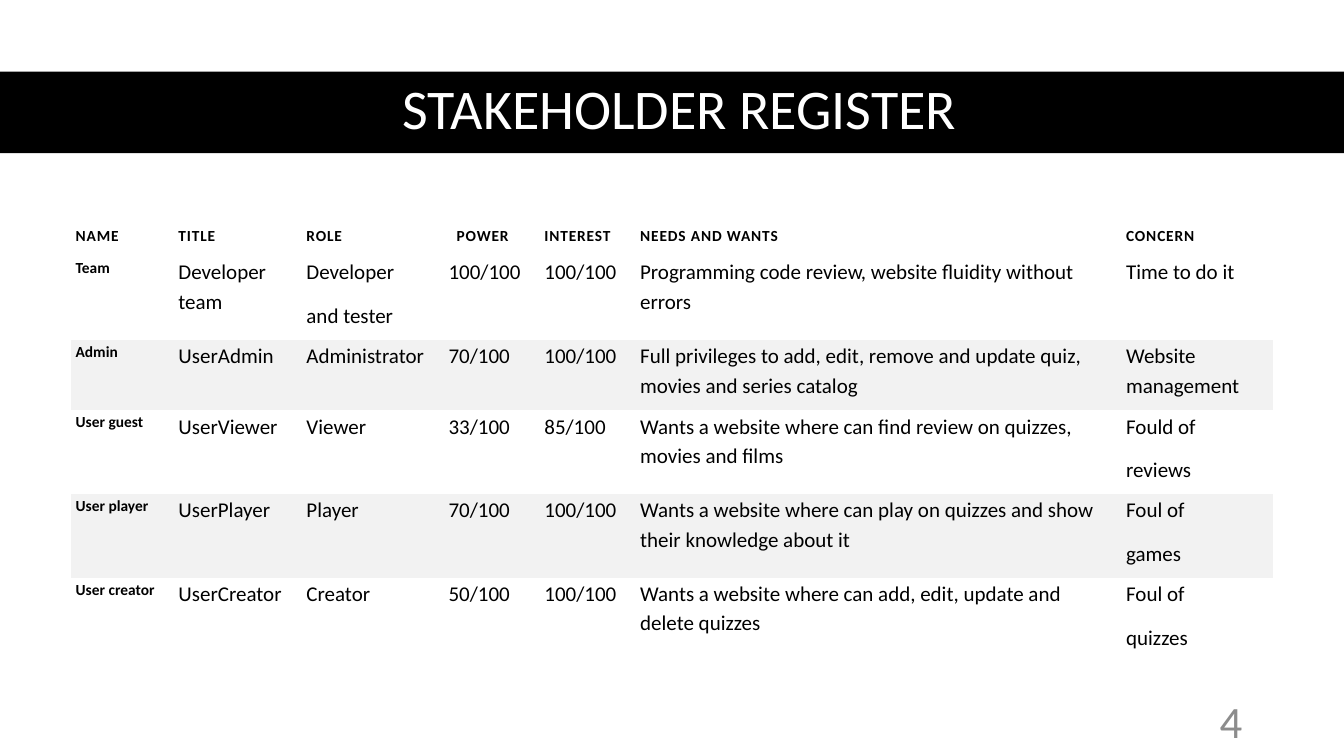
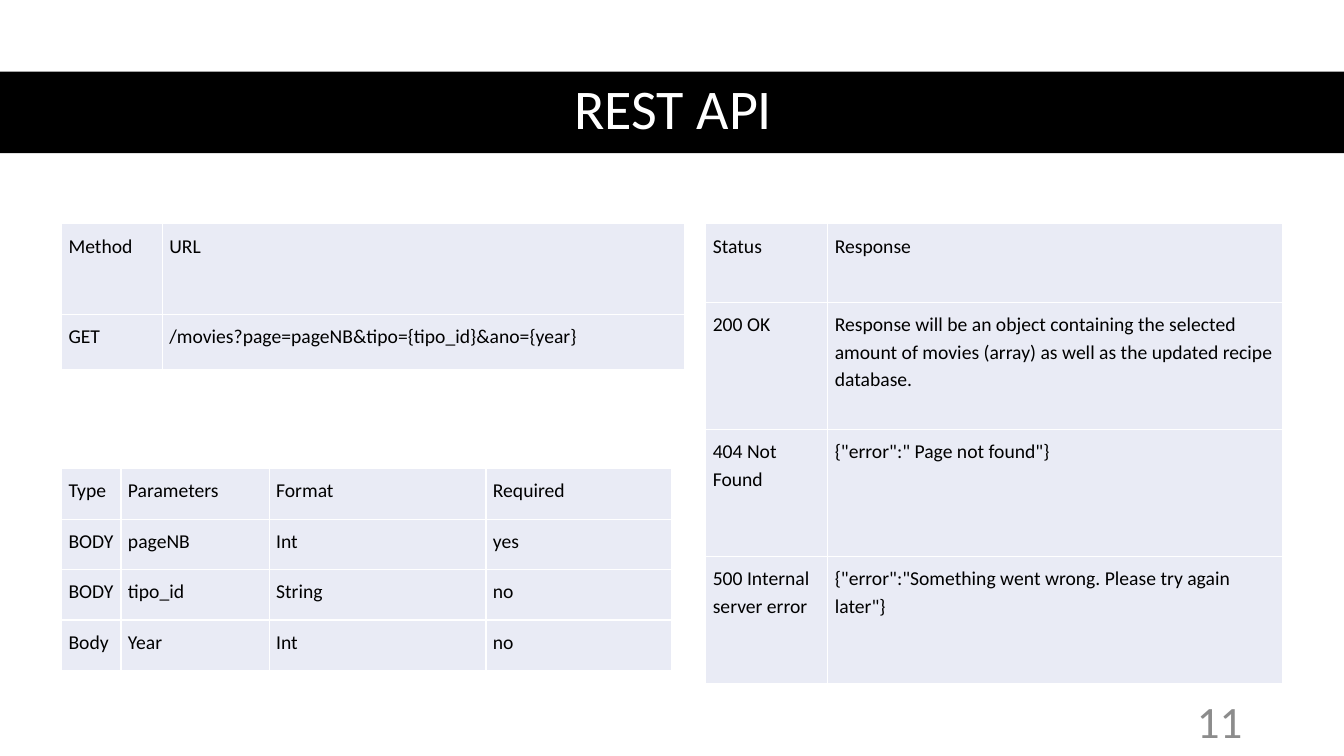
from lxml import etree
from pptx import Presentation
from pptx import util as u
from pptx.dml.color import RGBColor
from pptx.enum import shapes, text
from pptx.oxml.ns import qn

W, H = 13.33, 7.5
FONT = "Calibri"
BLACK, WHITE, GREY = "000000", "FFFFFF", "8C8C8C"
STRIPE, PALE = "F2F2F2", "E9EBF5"
NO_STYLE = "{2D5ABB26-0587-4C30-8999-92F81FD0307C}"
LEFT, RIGHT, TOP = 0.61, 7, 2.22

TITLE = dict(size=40, color=WHITE)
NUMBER = dict(size=32, color=GREY)
HEAD = dict(size=11, bold=True, spacing=60)
NAME = dict(size=11, bold=True)
BODY = dict(size=15)
API = dict(size=14)

STAKEHOLDERS = [
    ["NAME", "TITLE", "ROLE", "POWER", "INTEREST", "NEEDS AND WANTS", "CONCERN"],
    ["Team", "Developer team", "Developer\nand tester", "100/100", "100/100",
     "Programming code review, website fluidity without errors", "Time to do it"],
    ["Admin", "UserAdmin", "Administrator", "70/100", "100/100",
     "Full privileges to add, edit, remove and update quiz, movies and series catalog",
     "Website management"],
    ["User guest", "UserViewer", "Viewer", "33/100", "85/100",
     "Wants a website where can find review on quizzes, movies and films",
     "Fould of\nreviews"],
    ["User player", "UserPlayer", "Player", "70/100", "100/100",
     "Wants a website where can play on quizzes and show their knowledge about it",
     "Foul of\ngames"],
    ["User creator", "UserCreator", "Creator", "50/100", "100/100",
     "Wants a website where can add, edit, update and delete quizzes",
     "Foul of\nquizzes"],
]
METHODS = [["Method", "URL"],
           ["GET", "/movies?page=pageNB&tipo={tipo_id}&ano={year}"]]
PARAMETERS = [["Type", "Parameters", "Format", "Required"],
              ["BODY", "pageNB", "Int", "yes"],
              ["BODY", "tipo_id", "String", "no"],
              ["Body", "Year", "Int", "no"]]
RESPONSES = [
    ["Status", "Response"],
    ["200 OK", "Response will be an object containing the selected amount of movies "
               "(array) as well as the updated recipe database."],
    ["404 Not Found", '{"error":" Page not found"}'],
    ["500 Internal server error",
     '{"error":"Something went wrong. Please try again later"}'],
]


def rgb(value):
    return RGBColor.from_string(value)


def set_attrs(obj, **values):
    for name, value in values.items():
        setattr(obj, name, value)


def write(tf, content, size, color=BLACK, bold=False, spacing=0, **para):
    """Fill a text frame, one paragraph per line; para holds paragraph attributes."""
    tf.text = content
    for p in tf.paragraphs:
        set_attrs(p, **para)
        for r in p.runs:
            set_attrs(r.font, name=FONT, size=u.Pt(size), bold=bold)
            r.font.color.rgb = rgb(color)
            if spacing:
                r.font._element.set("spc", str(spacing))


def set_margins(obj, left, top, right, bottom):
    set_attrs(obj, margin_left=u.Inches(left), margin_top=u.Inches(top),
              margin_right=u.Inches(right), margin_bottom=u.Inches(bottom))


def add_band(s):
    sp = s.shapes.add_shape(shapes.MSO_SHAPE.RECTANGLE, 0, u.Inches(0.71),
                            u.Inches(W), u.Inches(0.81))
    sp.shadow.inherit = False
    sp.fill.solid()
    sp.fill.fore_color.rgb = rgb(BLACK)
    sp.line.fill.background()
    s.shapes._spTree.insert(2, sp._element)  # behind the title


def add_page(prs, title, number):
    s = prs.slides.add_slide(prs.slide_layouts[5])
    add_band(s)
    sp = s.shapes.title
    set_attrs(sp, left=u.Inches(LEFT), top=u.Inches(0.7),
              width=u.Inches(12.26), height=u.Inches(0.81))
    set_attrs(sp.text_frame, vertical_anchor=text.MSO_ANCHOR.MIDDLE,
              auto_size=text.MSO_AUTO_SIZE.NONE)
    write(sp.text_frame, title, **TITLE, alignment=text.PP_ALIGN.CENTER,
          line_spacing=0.9)
    box = s.shapes.add_textbox(u.Inches(9.42), u.Inches(6.95), u.Inches(3), u.Inches(0.4))
    set_attrs(box.text_frame, word_wrap=True, vertical_anchor=text.MSO_ANCHOR.MIDDLE)
    write(box.text_frame, str(number), **NUMBER, alignment=text.PP_ALIGN.RIGHT)
    return s


def add_grid(s, left, top, cols, rows, data):
    """Add an unstyled table that holds no text yet; return it with (row, column, cell, text)."""
    frame = s.shapes.add_table(len(rows), len(cols), u.Inches(left), u.Inches(top),
                               u.Inches(sum(cols)), u.Inches(sum(rows)))
    table = frame.table
    frame._element.xpath(".//a:tableStyleId")[0].text = NO_STYLE
    set_attrs(table, first_row=False, horz_banding=False)
    for column, width in zip(table.columns, cols):
        column.width = u.Inches(width)
    for row, height in zip(table.rows, rows):
        row.height = u.Inches(height)
    return [(i, j, table.cell(i, j), content)
            for i, line in enumerate(data) for j, content in enumerate(line)]


def fill_cell(cell, color):
    if color:
        cell.fill.solid()
        cell.fill.fore_color.rgb = rgb(color)
    else:
        cell.fill.background()


def add_borders(cell, color):
    tc_pr = cell._tc.get_or_add_tcPr()
    for side in ("lnL", "lnR", "lnT", "lnB"):
        ln = etree.SubElement(tc_pr, qn("a:" + side), w=str(u.Pt(1)))
        fill = etree.SubElement(ln, qn("a:solidFill"))
        etree.SubElement(fill, qn("a:srgbClr"), val=color)


def add_register(s):
    cols = [1.02, 1.27, 1.41, 0.95, 0.95, 4.82, 1.51]
    rows = [0.65, 0.83, 0.7, 0.83, 0.83, 0.83]
    for i, j, cell, content in add_grid(s, 0.7, 1.89, cols, rows, STAKEHOLDERS):
        head = i == 0
        set_margins(cell, 0.13 if content == "POWER" else 0.05,
                    0.1 if head else 0, 0.05, 0.1)
        cell.vertical_anchor = text.MSO_ANCHOR.BOTTOM if head else text.MSO_ANCHOR.TOP
        fill_cell(cell, STRIPE if i and i % 2 == 0 else None)
        style = HEAD if head else NAME if j == 0 else BODY
        write(cell.text_frame, content, **style, line_spacing=1.15,
              space_after=u.Pt(10))


def add_api_table(s, left, top, cols, rows, data):
    for _, _, cell, content in add_grid(s, left, top, cols, rows, data):
        set_margins(cell, *[0.07] * 4)
        add_borders(cell, WHITE)
        fill_cell(cell, PALE)
        write(cell.text_frame, content, **API, line_spacing=1.15)


def main():
    prs = Presentation()
    set_attrs(prs, slide_width=u.Inches(W), slide_height=u.Inches(H))
    add_register(add_page(prs, "STAKEHOLDER REGISTER", 4))
    s = add_page(prs, "REST API ", 11)
    add_api_table(s, LEFT, TOP, [1, 5.18], [0.9, 0.55], METHODS)
    add_api_table(s, LEFT, 4.65, [0.59, 1.47, 2.15, 1.84], [0.5] * 4, PARAMETERS)
    add_api_table(s, RIGHT, TOP, [1.21, 4.51], [0.78] + [1.26] * 3, RESPONSES)
    prs.save("out.pptx")


if __name__ == "__main__":
    main()
